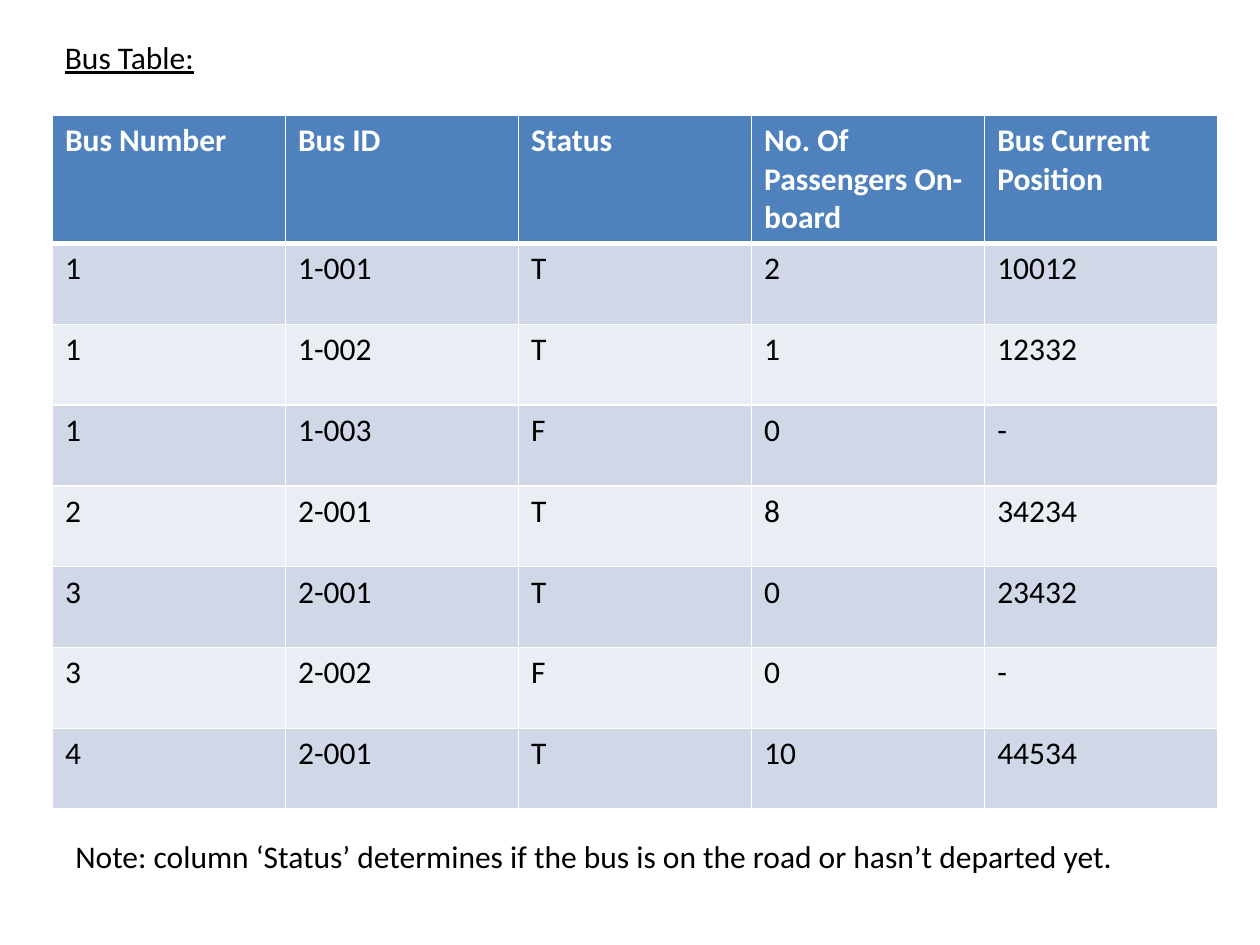
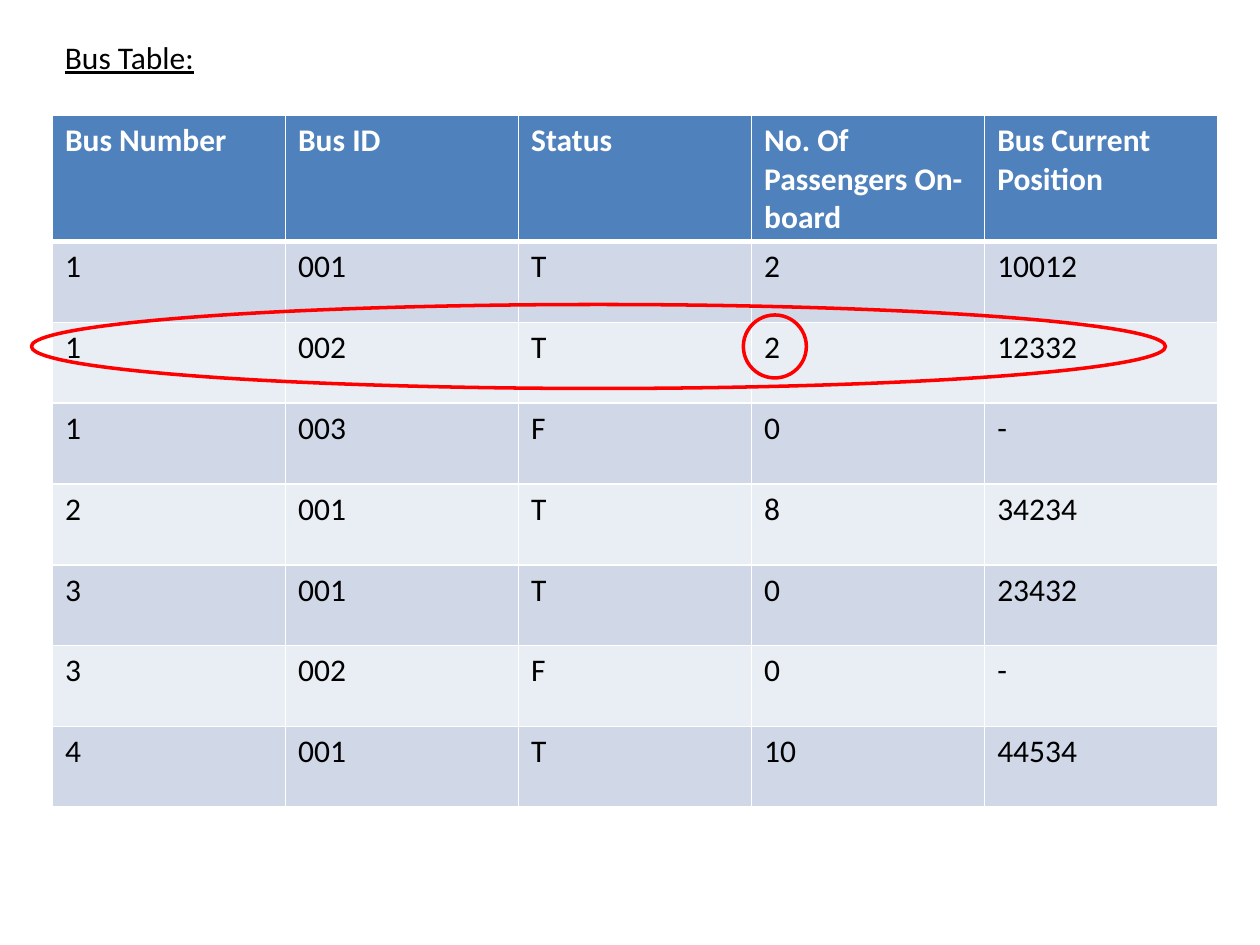
from dataclasses import astuple, dataclass, replace

from lxml.etree import SubElement
from pptx import Presentation
from pptx.dml.color import RGBColor
from pptx.enum.shapes import MSO_SHAPE
from pptx.enum.text import MSO_AUTO_SIZE
from pptx.oxml.ns import qn
from pptx.slide import Slide
from pptx.table import _Cell
from pptx.util import Pt


@dataclass(frozen=True)
class Theme:
    font: str = "Calibri"
    text_size: float = 18
    ink: str = "000000"
    paper: str = "FFFFFF"
    header: str = "4F81BD"
    bands: tuple[str, str] = ("D0D8E8", "E9EDF4")
    highlight: str = "FF0000"
    highlight_width: float = 2
    grid_width: float = 1
    header_rule_width: float = 3


@dataclass(frozen=True)
class Box:
    left: float
    top: float
    width: float
    height: float

    def lengths(self) -> tuple[Pt, ...]:
        return tuple(Pt(length) for length in astuple(self))


@dataclass(frozen=True)
class Bus:
    number: str
    bus_id: str
    status: str
    passengers: str
    position: str


THEME = Theme()
HEADINGS = (
    "Bus Number",
    "Bus ID",
    "Status",
    "No. Of Passengers On-board",
    "Bus Current Position",
)
BUSES = [
    Bus("1", "1-001", "T", "2", "10012"),
    Bus("1", "1-002", "T", "1", "12332"),
    Bus("1", "1-003", "F", "0", "-"),
    Bus("2", "2-001", "T", "8", "34234"),
    Bus("3", "2-001", "T", "0", "23432"),
    Bus("3", "2-002", "F", "0", "-"),
    Bus("4", "2-001", "T", "10", "44534"),
]
BOARDED_BUS = 1
HEADER_HEIGHT = 72
BUS_HEIGHT = 46.2
TABLE = Box(30, 66, 666, HEADER_HEIGHT + BUS_HEIGHT * len(BUSES))
TITLE = Box(30, 18, 240, 30)
NOTE = Box(36, 475, 660, 29)
BOARDED_ROW_RING = Box(18, 174, 648, 48)
PASSENGER_RING = Box(424.8, 180, 36, 36)


def add_run(paragraph, text: str, color: str = THEME.ink,
            bold: bool = False, underline: bool = False) -> None:
    run = paragraph.add_run()
    run.text = text
    run.font.name = THEME.font
    run.font.size = Pt(THEME.text_size)
    run.font.bold = bold
    run.font.underline = underline
    run.font.color.rgb = RGBColor.from_string(color)


def add_label(slide: Slide, text: str, box: Box, underline: bool = False) -> None:
    frame = slide.shapes.add_textbox(*box.lengths()).text_frame
    frame.word_wrap = True
    frame.auto_size = MSO_AUTO_SIZE.SHAPE_TO_FIT_TEXT
    add_run(frame.paragraphs[0], text, underline=underline)


def add_border(cell: _Cell, side: str, width: float) -> None:
    properties = cell._tc.get_or_add_tcPr()
    line = SubElement(properties, qn(f"a:ln{side}"), w=str(int(Pt(width))))
    fill = SubElement(line, qn("a:solidFill"))
    SubElement(fill, qn("a:srgbClr"), val=THEME.paper)


def fill_cell(cell: _Cell, text: str, row: int) -> None:
    is_header = row == 0
    top = THEME.header_rule_width if row == 1 else THEME.grid_width
    bottom = THEME.header_rule_width if is_header else THEME.grid_width
    for side, width in zip("LRTB", (THEME.grid_width, THEME.grid_width, top, bottom)):
        add_border(cell, side, width)
    cell.fill.solid()
    background = THEME.header if is_header else THEME.bands[(row - 1) % 2]
    cell.fill.fore_color.rgb = RGBColor.from_string(background)
    add_run(cell.text_frame.paragraphs[0], text,
            THEME.paper if is_header else THEME.ink, bold=is_header)


def add_bus_table(slide: Slide, buses: list[Bus]) -> None:
    lines = [HEADINGS, *map(astuple, buses)]
    table = slide.shapes.add_table(len(lines), len(HEADINGS), *TABLE.lengths()).table
    for column in table.columns:
        column.width = Pt(TABLE.width / len(HEADINGS))
    for row, line in enumerate(lines):
        table.rows[row].height = Pt(BUS_HEIGHT if row else HEADER_HEIGHT)
        for column, text in enumerate(line):
            fill_cell(table.cell(row, column), text, row)


def add_ring(slide: Slide, box: Box) -> None:
    ring = slide.shapes.add_shape(MSO_SHAPE.OVAL, *box.lengths())
    ring.shadow.inherit = False
    ring.fill.background()
    ring.line.color.rgb = RGBColor.from_string(THEME.highlight)
    ring.line.width = Pt(THEME.highlight_width)


def add_bus_slide(deck, buses: list[Bus], note: str = "",
                  rings: tuple[Box, ...] = ()) -> None:
    slide = deck.slides.add_slide(deck.slide_layouts[6])
    add_bus_table(slide, buses)
    if note:
        add_label(slide, note, NOTE)
    add_label(slide, "Bus Table:", TITLE, underline=True)
    for ring in rings:
        add_ring(slide, ring)


def main() -> None:
    deck = Presentation()
    deck.slide_width, deck.slide_height = Pt(720), Pt(540)
    add_bus_slide(
        deck, BUSES,
        note="Note: column ‘Status’ determines if the bus is on the road "
             "or hasn’t departed yet.",
    )
    updated = [replace(bus, bus_id=bus.bus_id.split("-")[1]) for bus in BUSES]
    updated[BOARDED_BUS] = replace(updated[BOARDED_BUS], passengers="2")
    add_bus_slide(deck, updated, rings=(BOARDED_ROW_RING, PASSENGER_RING))
    deck.save("out.pptx")


main()
